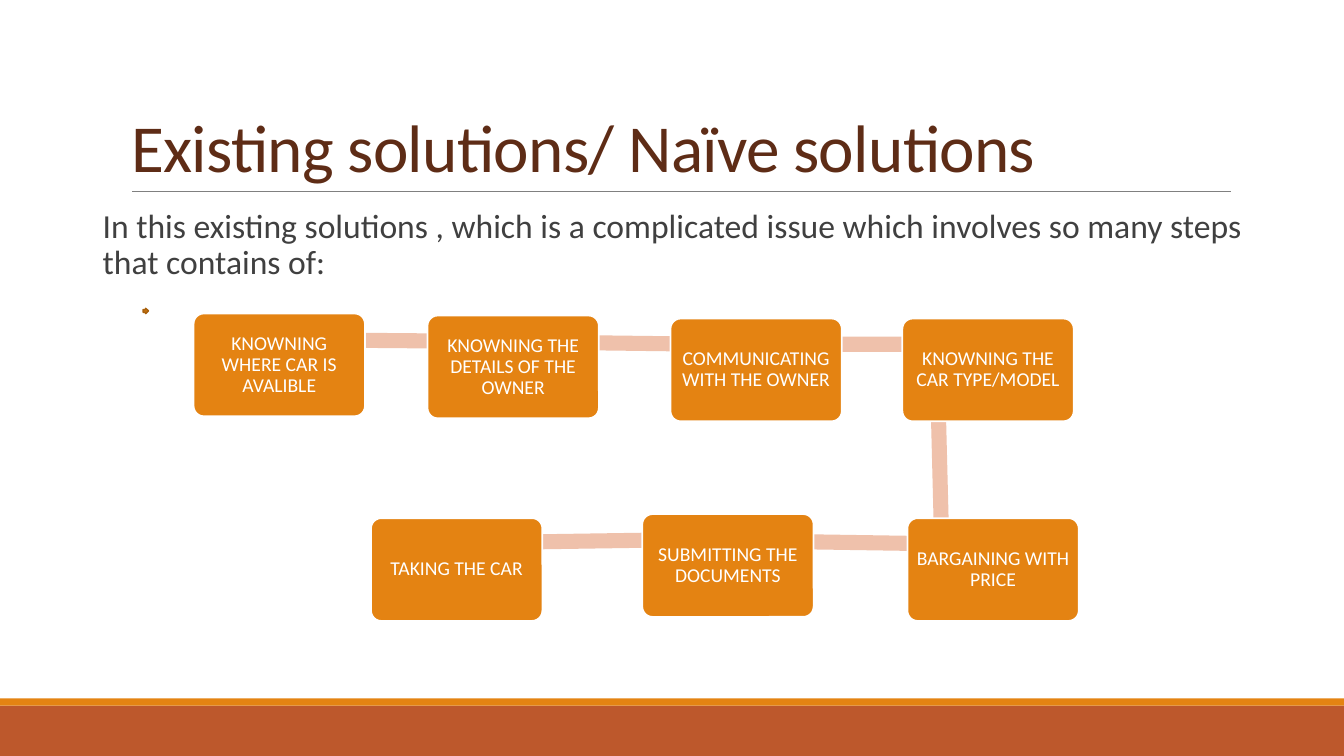
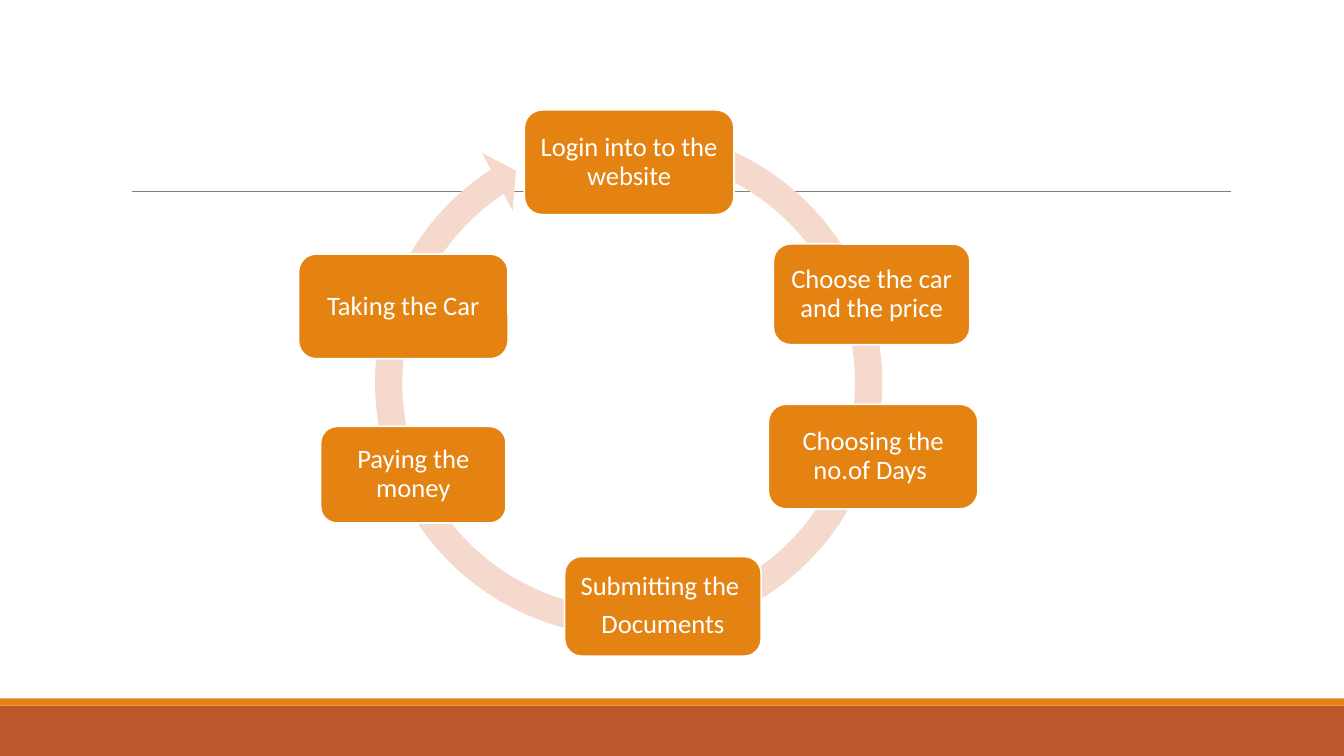
"""Build two slides on the steps of renting a car."""
from dataclasses import dataclass
from math import atan2, degrees, hypot

from lxml import etree
from pptx import Presentation
from pptx.dml.color import RGBColor
from pptx.enum.shapes import MSO_CONNECTOR, MSO_SHAPE
from pptx.enum.text import MSO_ANCHOR, MSO_AUTO_SIZE, PP_ALIGN
from pptx.oxml.ns import qn
from pptx.util import Inches, Pt

RECT, ROUND = MSO_SHAPE.RECTANGLE, MSO_SHAPE.ROUNDED_RECTANGLE
RING, ARROW = MSO_SHAPE.CIRCULAR_ARROW, MSO_SHAPE.RIGHT_ARROW
STRAIGHT = MSO_CONNECTOR.STRAIGHT
MIDDLE, BOTTOM, TOP = MSO_ANCHOR.MIDDLE, MSO_ANCHOR.BOTTOM, MSO_ANCHOR.TOP
CENTER, LEFT = PP_ALIGN.CENTER, PP_ALIGN.LEFT
TITLE_ONLY, BLANK = 5, 6

COLORS = {
    "band": "BD582C", "accent": "E48312", "rule": "808080", "title": "5E2C16",
    "body": "404040", "white": "FFFFFF", "bar": "EFC1AB", "ring": "F5D9CC",
    "outline": "A9610D",
}
FONT = "Calibri"
SLIDE_W, SLIDE_H = 13.33, 7.5
STEP_W, STEP_H = 1.7, 1.02
BAR_H, BAR_DX, BAR_DY = 0.15, 0.34, 0.255


@dataclass(frozen=True)
class Node:
    text: str
    x: float
    y: float
    w: float = STEP_W
    h: float = STEP_H


@dataclass(frozen=True)
class TextStyle:
    size: float
    color: str
    align: PP_ALIGN = CENTER
    anchor: MSO_ANCHOR = MIDDLE
    spacing: float = 0.9
    inset_x: float = 0.1
    inset_y: float = 0.05


TITLE_STYLE = TextStyle(48, "title", LEFT, BOTTOM, 0.85)
BODY_STYLE = TextStyle(24, "body", LEFT, TOP)
STEP_STYLE = TextStyle(14, "white", inset_x=0.06, inset_y=0.06)
CYCLE_STYLE = TextStyle(19, "white", inset_x=0.08, inset_y=0.08)

STEPS = [
    Node("KNOWNING WHERE CAR IS AVALIBLE", 1.92, 3.11),
    Node("KNOWNING THE DETAILS OF THE OWNER", 4.24, 3.13),
    Node("COMMUNICATING WITH THE OWNER", 6.65, 3.16),
    Node("KNOWNING THE CAR TYPE/MODEL", 8.95, 3.16),
    Node("BARGAINING WITH PRICE", 9, 5.14),
    Node("SUBMITTING THE DOCUMENTS", 6.37, 5.1),
    Node("TAKING THE CAR", 3.68, 5.14),
]
CYCLE = [
    Node("Login into to the website", 5.2, 1.09, 2.08, 1.04),
    Node("Choose the car and the price", 7.67, 2.42, 1.95, 1),
    Node("Choosing the no.of Days ", 7.62, 4.01, 2.08, 1.04),
    Node("Submitting the \nDocuments", 5.6, 5.52, 1.95, 0.99),
    Node("Paying the money", 3.18, 4.23, 1.84, 0.96),
    Node("Taking the Car", 2.96, 2.52, 2.08, 1.04),
]
RING_ADJUSTMENTS = (0.05, 3.13, 142.09, 171.39, 0.06)


def rgb(name: str) -> RGBColor:
    return RGBColor.from_string(COLORS[name])


def apply(target, values: dict) -> None:
    for name, value in values.items():
        setattr(target, name, value)


def write(sp, text: str, style: TextStyle) -> None:
    tf = sp.text_frame
    apply(tf, {
        "word_wrap": True, "auto_size": MSO_AUTO_SIZE.NONE,
        "vertical_anchor": style.anchor,
        "margin_left": Inches(style.inset_x), "margin_right": Inches(style.inset_x),
        "margin_top": Inches(style.inset_y), "margin_bottom": Inches(style.inset_y),
    })
    for i, line in enumerate(text.split("\n")):
        p = tf.add_paragraph() if i else tf.paragraphs[0]
        apply(p, {"alignment": style.align, "line_spacing": style.spacing,
                  "space_before": Pt(6.65 if i else 0)})
        r = p.add_run()
        r.text = line
        apply(r.font, {"name": FONT, "size": Pt(style.size)})
        r.font.color.rgb = rgb(style.color)


def add_shape(s, kind: MSO_SHAPE, x: float, y: float, w: float, h: float,
              fill: str, line: str = ""):
    sp = s.shapes.add_shape(kind, Inches(x), Inches(y), Inches(w), Inches(h))
    sp.shadow.inherit = False
    sp.fill.solid()
    sp.fill.fore_color.rgb = rgb(fill)
    if line:
        sp.line.color.rgb = rgb(line)
        sp.line.width = Pt(1.25)
    else:
        sp.line.fill.background()
    return sp


def add_node(s, node: Node, style: TextStyle, corner: float) -> None:
    sp = add_shape(s, ROUND, node.x, node.y, node.w, node.h, "accent", "white")
    sp.adjustments[0] = corner
    write(sp, node.text, style)


def add_bar(s, start: Node, end: Node) -> None:
    dx, dy = end.x - start.x, end.y - start.y
    length = hypot(dx, dy)
    cx, cy = start.x + dx / 2 + BAR_DX, start.y + dy / 2 + BAR_DY
    sp = add_shape(s, RECT, cx - length / 2, cy - BAR_H / 2, length, BAR_H, "bar")
    sp.rotation = degrees(atan2(dy, dx))


def add_slide(prs, layout: int):
    s = prs.slides.add_slide(prs.slide_layouts[layout])
    add_shape(s, RECT, 0, 7, SLIDE_W, 0.5, "band")
    add_shape(s, RECT, 0, 6.93, SLIDE_W, 0.07, "accent")
    rule = s.shapes.add_connector(STRAIGHT, Inches(1.31), Inches(1.9),
                                  Inches(12.21), Inches(1.9))
    rule.line.color.rgb = rgb("rule")
    rule.line.width = Pt(0.5)
    etree.SubElement(rule._element.spPr, qn("a:effectLst"))
    return s


def build_steps(prs) -> None:
    s = add_slide(prs, TITLE_ONLY)
    title = s.shapes.title
    apply(title, {"left": Inches(1.2), "top": Inches(0.31),
                  "width": Inches(11), "height": Inches(1.59)})
    write(title, "Existing solutions/ Naïve solutions", TITLE_STYLE)
    title.text_frame.paragraphs[0].runs[0].font._element.set("spc", "-50")
    body = s.shapes.add_textbox(Inches(0.92), Inches(2.03), Inches(11.6), Inches(0.9))
    write(body, "In this existing solutions , which is a complicated issue which "
                "involves so many steps that contains of:", BODY_STYLE)
    body.text_frame.margin_right = 0
    add_shape(s, ARROW, 1.42, 3.06, 0.05, 0.05, "accent", "outline")
    for start, end in zip(STEPS, STEPS[1:]):
        add_bar(s, start, end)
    for node in STEPS:
        add_node(s, node, STEP_STYLE, 0.1)


def build_cycle(prs) -> None:
    s = add_slide(prs, BLANK)
    ring = add_shape(s, RING, 3.53, 1.09, 5.41, 5.41, "ring")
    for i, value in enumerate(RING_ADJUSTMENTS):
        ring.adjustments[i] = value
    for node in CYCLE:
        add_node(s, node, CYCLE_STYLE, 0.17)


def main() -> None:
    prs = Presentation()
    apply(prs, {"slide_width": Inches(SLIDE_W), "slide_height": Inches(SLIDE_H)})
    build_steps(prs)
    build_cycle(prs)
    prs.save("out.pptx")


if __name__ == "__main__":
    main()
